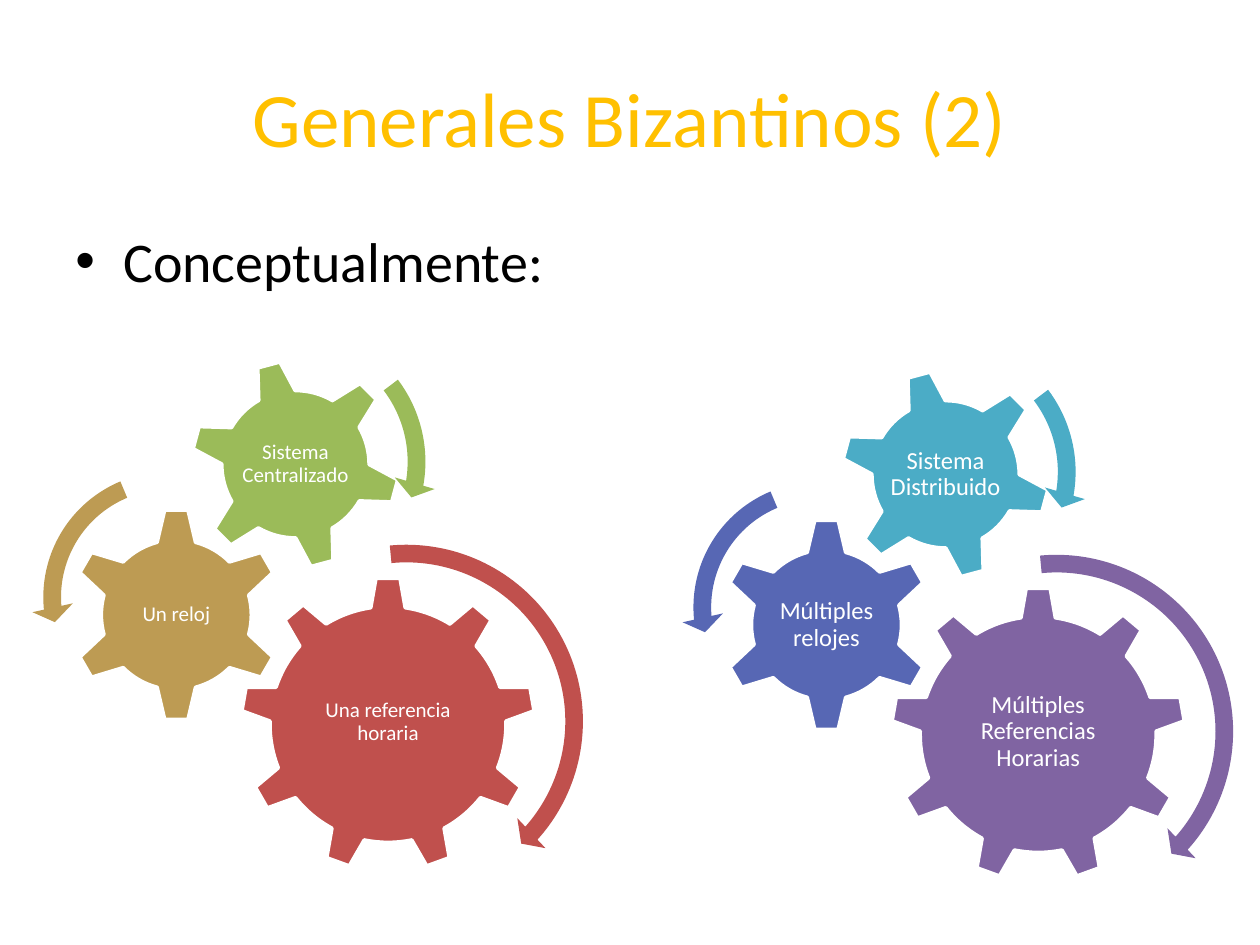
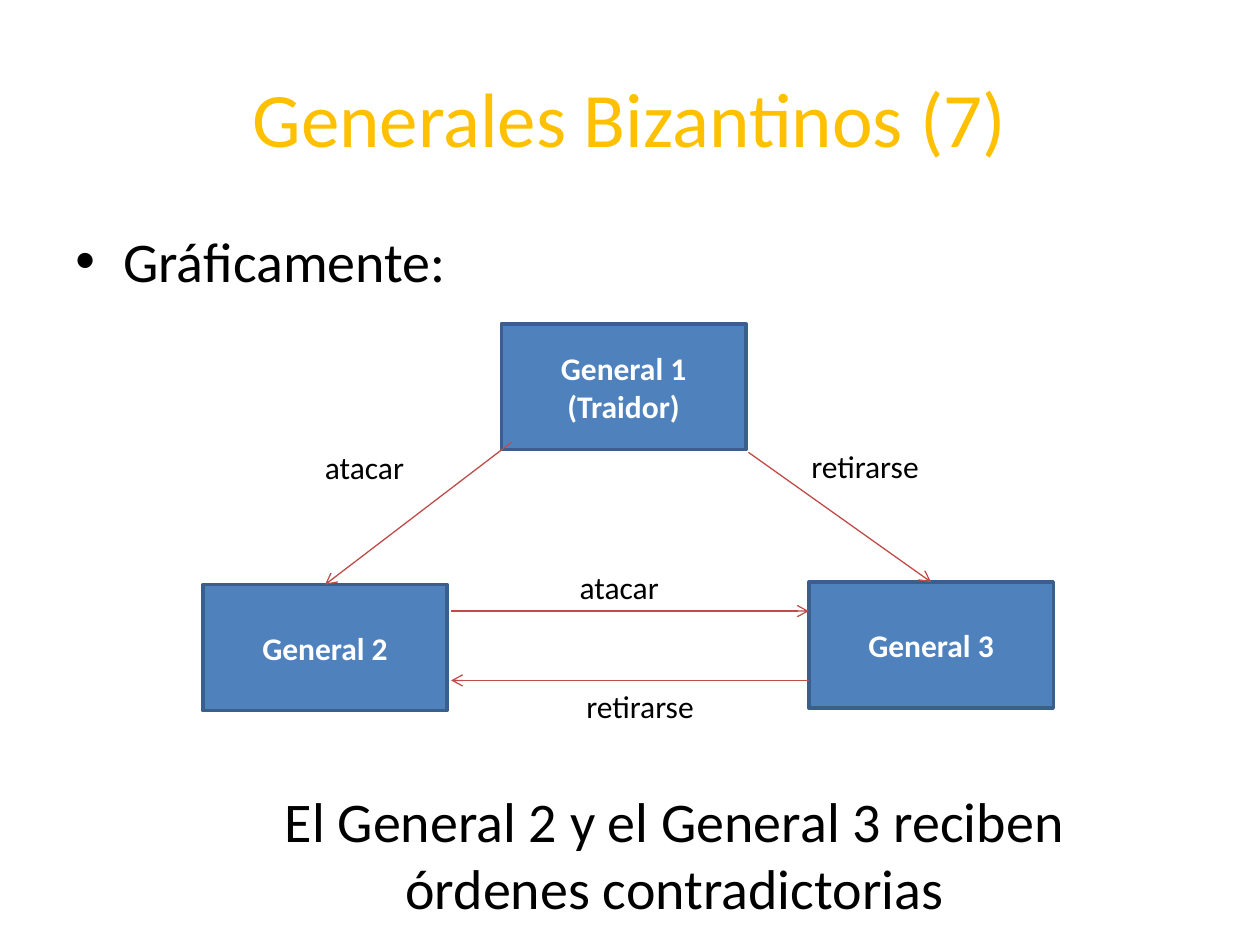
from pptx import Presentation
from pptx.util import Inches, Pt
from pptx.dml.color import RGBColor as RGB
from pptx.enum.shapes import MSO_SHAPE as S, MSO_CONNECTOR as C
from pptx.enum.text import PP_ALIGN as A, MSO_ANCHOR as V
from pptx.oxml.ns import qn
from lxml.etree import SubElement as Sub

HUES = {
    "title": "FFC000", "ink": "000000", "white": "FFFFFF",
    "red": "C0504D", "gold": "BD9B53", "green": "9BBB59",
    "plum": "8064A2", "blue": "5767B4", "teal": "4BACC6",
    "box": "4F81BD", "edge": "3A5F8C", "arrow": "BF4C48",
}
HUES = {name: RGB.from_string(code) for name, code in HUES.items()}


def write(shape, lines, size, hue="ink", align=A.CENTER, anchor=V.TOP,
          bold=False, inset=None, space=None, bullet=False):
    frame = shape.text_frame
    form = {"word_wrap": True, "vertical_anchor": anchor}
    if inset is not None:
        for side in ("left", "right", "top", "bottom"):
            form["margin_" + side] = Inches(inset)
    for key, val in form.items():
        setattr(frame, key, val)
    for i, line in enumerate(lines):
        par = frame.add_paragraph() if i else frame.paragraphs[0]
        if bullet:
            props = par._p.get_or_add_pPr()
            props.set("marL", str(Inches(0.38)))
            props.set("indent", str(-Inches(0.38)))
            Sub(props, qn("a:buFont")).set("typeface", "Arial")
            Sub(props, qn("a:buChar")).set("char", "•")
        par.alignment = align
        if space:
            par.line_spacing = space
        run = par.add_run()
        run.text = line
        for key, val in {"name": "Calibri", "size": Pt(size), "bold": bold}.items():
            setattr(run.font, key, val)
        run.font.color.rgb = HUES[hue]


def draw(shapes, kind, area, fill, edge=None):
    shape = shapes.add_shape(kind, *map(Inches, area))
    shape.shadow.inherit = False
    shape.fill.solid()
    shape.fill.fore_color.rgb = HUES[fill]
    if edge:
        shape.line.color.rgb = HUES[edge]
        shape.line.width = Pt(2)
    else:
        shape.line.fill.background()
    return shape


deck = Presentation()
deck.slide_width, deck.slide_height = Inches(10), Inches(7.5)

pages = []
for num, lead in ((2, "Conceptualmente:"), (7, "Gráficamente:")):
    page = deck.slides.add_slide(deck.slide_layouts[6]).shapes
    title = page.add_textbox(*map(Inches, (0.5, 0.3, 9, 1.25)))
    write(title, [f"Generales Bizantinos ({num})"], 44, "title", anchor=V.MIDDLE)
    body = page.add_textbox(*map(Inches, (0.5, 1.75, 9, 4.95)))
    write(body, [lead], 32, align=A.LEFT, bullet=True)
    pages.append(page)
gears, graph = pages

wheels = [
    (S.GEAR_9, 1.91, 4.58, 2.34, 0, (1.4, 1.2), -0.02),
    (S.GEAR_6, 0.55, 4.03, 1.7, 0, (0.84, 0.84), 0),
    (S.GEAR_6, 1.51, 2.85, 1.67, 345, (0.94, 0.94), 0),
]
sweeps = [
    (S.CIRCULAR_ARROW, 1.73, 4.23, 2.99, 0,
     (0.04687, 2.99, 25.085, 158.778, 0.05469)),
    (S.LEFT_CIRCULAR_ARROW, 0.25, 3.65, 2.18, 0,
     (0.06452, 4.3, 104.891, 148.378, 0.07527)),
    (S.CIRCULAR_ARROW, 1.12, 2.49, 2.35, 147.8,
     (0.06, 3.941, 133.138, 105.082, 0.07)),
]
trains = [
    (0, 0, 12, ("red", "gold", "green"),
     ("Una referencia horaria", "Un reloj", "Sistema Centralizado")),
    (5.16, 0.08, 14, ("plum", "blue", "teal"),
     ("Múltiples Referencias Horarias", "Múltiples relojes", "Sistema Distribuido")),
]
for dx, dy, size, hues, names in trains:
    group = gears.add_group_shape().shapes
    for (kind, x, y, side, turn, (wide, high), lift), hue, name in zip(wheels, hues, names):
        x, y = x + dx, y + dy
        wheel = draw(group, kind, (x, y, side, side), hue, "white")
        wheel.rotation = turn
        area = (x + (side - wide) / 2, y + (side - high) / 2 + lift, wide, high)
        label = group.add_textbox(*map(Inches, area))
        write(label, [name], size, "white", anchor=V.MIDDLE, inset=0.02, space=0.9)
    for (kind, x, y, side, turn, bends), hue in zip(sweeps, hues):
        sweep = draw(group, kind, (x + dx, y + dy, side, side), hue)
        sweep.rotation = turn
        for i, bend in enumerate(bends):
            sweep.adjustments[i] = bend

boxes = []
for x, y, lines in (
    (3.98, 2.57, ["General 1", "(Traidor)"]),
    (1.61, 4.64, ["General 2"]),
    (6.42, 4.62, ["General 3"]),
):
    box = draw(graph, S.RECTANGLE, (x, y, 1.94, 1), "box", "edge")
    write(box, lines, 18, "white", anchor=V.MIDDLE, bold=True)
    boxes.append(box)

orders = [
    ((4.06, 3.51, 2.59, 4.64), boxes[1], "atacar", (2.48, 3.51, 1.18), A.LEFT),
    ((5.94, 3.59, 7.39, 4.62), boxes[2], "retirarse", (6.34, 3.5, 1.81), A.LEFT),
    ((3.58, 4.85, 6.42, 4.85), None, "atacar", (4.13, 4.46, 1.57), A.CENTER),
    ((6.42, 5.4, 3.58, 5.4), None, "retirarse", (3.9, 5.4, 2.36), A.CENTER),
]
for ends, goal, word, spot, align in orders:
    group = graph.add_group_shape().shapes
    arrow = group.add_connector(C.STRAIGHT, *map(Inches, ends))
    if goal:
        arrow.end_connect(goal, 0)
    arrow.line.color.rgb = HUES["arrow"]
    arrow.line.width = Pt(0.75)
    Sub(arrow.line._get_or_add_ln(), qn("a:tailEnd")).set("type", "arrow")
    Sub(arrow._element.spPr, qn("a:effectLst"))
    label = group.add_textbox(*map(Inches, (*spot, 0.4)))
    write(label, [word], 18, align=align)

note = graph.add_textbox(*map(Inches, (1.77, 6.19, 7.17, 1.18)))
write(note, ["El General 2 y el General 3 reciben órdenes contradictorias"], 32)

deck.save("out.pptx")
